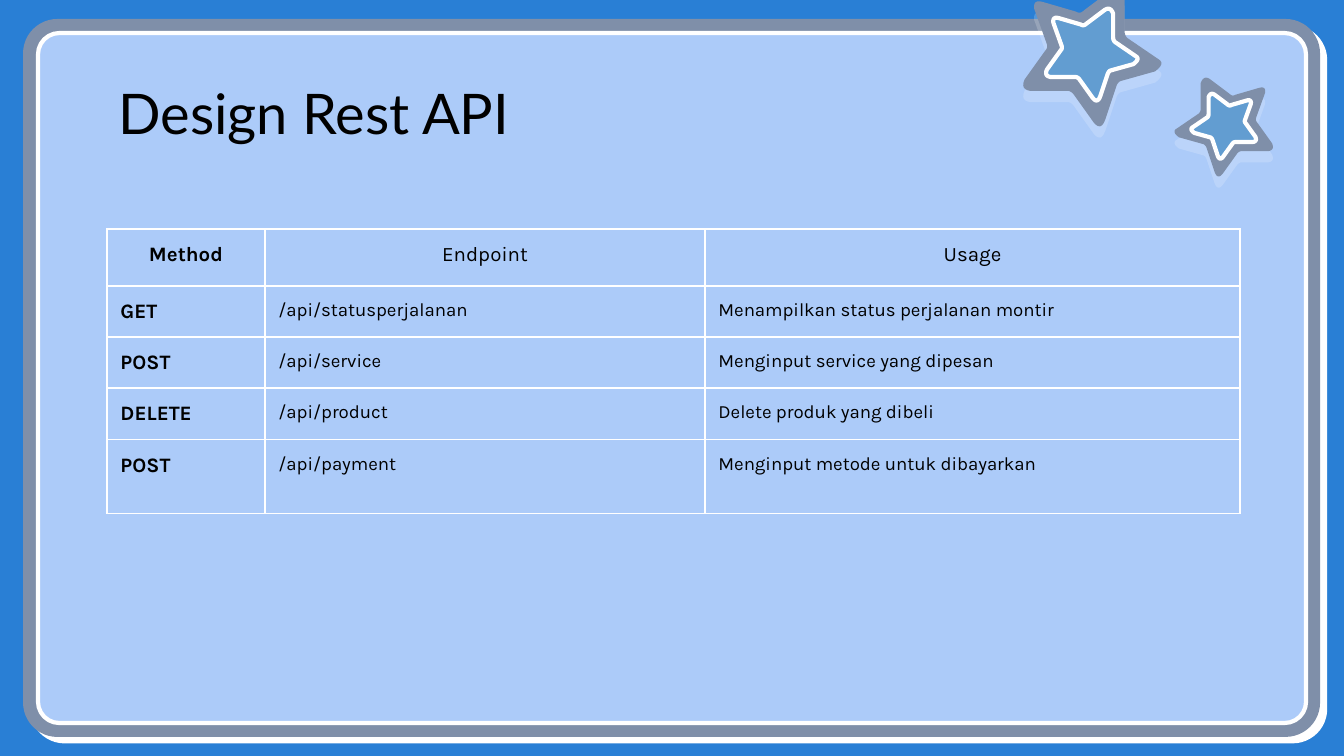
"""Build the slide "Design Rest API": a framed panel, an endpoint table and two stars."""
import pptx
import pptx.dml.color
import pptx.enum.shapes
import pptx.enum.text
import pptx.oxml
import pptx.oxml.ns
import pptx.util

PIXEL = 6804
NAMESPACE = pptx.oxml.ns.nsdecls("a")
LEFT = pptx.enum.text.PP_ALIGN.LEFT
CENTER = pptx.enum.text.PP_ALIGN.CENTER


def color(hex_string):
    return pptx.dml.color.RGBColor.from_string(hex_string)


def write(text_frame, text, font, size, bold=False, align=LEFT):
    text_frame.word_wrap = True
    paragraph = text_frame.paragraphs[0]
    paragraph.alignment = align
    run = paragraph.add_run()
    run.text = text
    run.font.name = font
    run.font.size = pptx.util.Pt(size)
    run.font.bold = bold
    run.font.color.rgb = color("000000")


presentation = pptx.Presentation()
presentation.slide_width = pptx.util.Inches(10)
presentation.slide_height = presentation.slide_width * 9 // 16
slide = presentation.slides.add_slide(presentation.slide_layouts[5])
slide.background.fill.solid()
slide.background.fill.fore_color.rgb = color("297FD5")

frame_shapes = []
for left, top, width, height, rounding in (
    (23, 19, 1297, 718, 0.048),
    (38, 33, 1268, 690, 0.031),
):
    panel = slide.shapes.add_shape(
        pptx.enum.shapes.MSO_SHAPE.ROUNDED_RECTANGLE,
        left * PIXEL, top * PIXEL, width * PIXEL, height * PIXEL)
    panel.adjustments[0] = rounding
    frame_shapes.append(panel)
outer_panel, inner_panel = frame_shapes

title = slide.shapes.title
title.element.getparent().append(title.element)
title.left, title.top = 105 * PIXEL, 65 * PIXEL
title.width, title.height = 1134 * PIXEL, 85 * PIXEL
title_frame = title.text_frame
title_frame.auto_size = pptx.enum.text.MSO_AUTO_SIZE.NONE
title_frame.vertical_anchor = pptx.enum.text.MSO_ANCHOR.TOP
title_frame.margin_left = title_frame.margin_right = pptx.util.Inches(0.1)
title_frame.margin_top = title_frame.margin_bottom = pptx.util.Inches(0.1)
write(title_frame, "Design Rest API", "Lato", 30)

endpoint_rows = (
    ("Method", "Endpoint", "Usage"),
    ("GET", "/api/statusperjalanan", "Menampilkan status perjalanan montir"),
    ("POST", "/api/service", "Menginput service yang dipesan"),
    ("DELETE", "/api/product", "Delete produk yang dibeli"),
    ("POST", "/api/payment", "Menginput metode untuk dibayarkan"),
)
column_widths = (158, 440, 535)
row_heights = (57, 51, 51, 52, 74)
table = slide.shapes.add_table(
    len(row_heights), len(column_widths), 107 * PIXEL, 229 * PIXEL,
    sum(column_widths) * PIXEL, sum(row_heights) * PIXEL).table
table.first_row = False
table.horz_banding = False
for column, width in zip(table.columns, column_widths):
    column.width = width * PIXEL
for row, height in zip(table.rows, row_heights):
    row.height = height * PIXEL
for row_index, row_texts in enumerate(endpoint_rows):
    for column_index, text in enumerate(row_texts):
        cell = table.cell(row_index, column_index)
        cell.margin_left = cell.margin_right = pptx.util.Inches(0.1)
        cell.margin_top = cell.margin_bottom = pptx.util.Inches(0.1)
        is_header = row_index == 0
        is_method = column_index == 0
        write(cell.text_frame, text, "Karla",
              11 if is_header or is_method else 10,
              bold=is_method, align=CENTER if is_header else LEFT)
        cell_properties = cell._tc.get_or_add_tcPr()
        for side in "LRTB":
            cell_properties.append(pptx.oxml.parse_xml(
                f'<a:ln{side} {NAMESPACE} w="9525"><a:solidFill>'
                f'<a:srgbClr val="FFFFFF"/></a:solidFill></a:ln{side}>'))
        cell.fill.background()

star_corners = (
    ((73, 5), (70, -3), (64, 1)),
    ((44, 16), (41, 19), (38, 17)),
    ((14, 10), (7, 8), (8, 15)),
    ((17, 40), (18, 43), (16, 45)),
    ((1, 66), (-2, 73), (5, 74)),
    ((32, 74), (34, 74), (36, 76)),
    ((51, 97), (56, 103), (59, 95)),
    ((67, 71), (68, 68), (70, 67)),
    ((95, 60), (103, 54), (97, 51)),
    ((75, 36), (73, 34), (73, 31)),
)
star_outline = []
for corner in star_corners:
    for step in range(7):
        t = step / 6
        weights = ((1 - t) ** 2, 2 * t * (1 - t), t ** 2)
        star_outline.append([
            sum(weight * point[axis] for weight, point in zip(weights, corner)) / 100
            for axis in (0, 1)])

star_shapes = []
for left, top, size, mirrored in (
    (1023, -12, 139, False),
    (1046, 9, 92, False),
    (1174, 78, 99, True),
    (1191, 94, 65, True),
):
    points = [
        (round((left + size * (1 - x if mirrored else x)) * PIXEL),
         round((top + size * y) * PIXEL))
        for x, y in star_outline]
    builder = slide.shapes.build_freeform(*points[0])
    builder.add_line_segments(points[1:], close=True)
    star_shapes.append(builder.convert_to_shape())
big_star, big_center, small_star, small_center = star_shapes

for shape, fill, outlined in (
    (outer_panel, "7F8FA9", False),
    (inner_panel, "ACCBF9", True),
    (big_star, "7F8FA9", False),
    (big_center, "629DD1", True),
    (small_star, "7F8FA9", False),
    (small_center, "629DD1", True),
):
    shape.shadow.inherit = False
    shape.fill.solid()
    shape.fill.fore_color.rgb = color(fill)
    if outlined:
        shape.line.color.rgb = color("FFFFFF")
        shape.line.width = pptx.util.Pt(2.25)
    else:
        shape.line.fill.background()

for shape, opacity, distance, angle in (
    (outer_panel, 100, 5.2, 42),
    (big_star, 19, 6, 90),
    (small_star, 19, 6, 90),
):
    effects = shape.element.spPr.find(pptx.oxml.ns.qn("a:effectLst"))
    effects.append(pptx.oxml.parse_xml(
        f'<a:outerShdw {NAMESPACE} blurRad="0" dist="{pptx.util.Pt(distance)}" '
        f'dir="{angle * 60000}" algn="bl" rotWithShape="0"><a:srgbClr val="FFFFFF">'
        f'<a:alpha val="{opacity * 1000}"/></a:srgbClr></a:outerShdw>'))

presentation.save("out.pptx")
